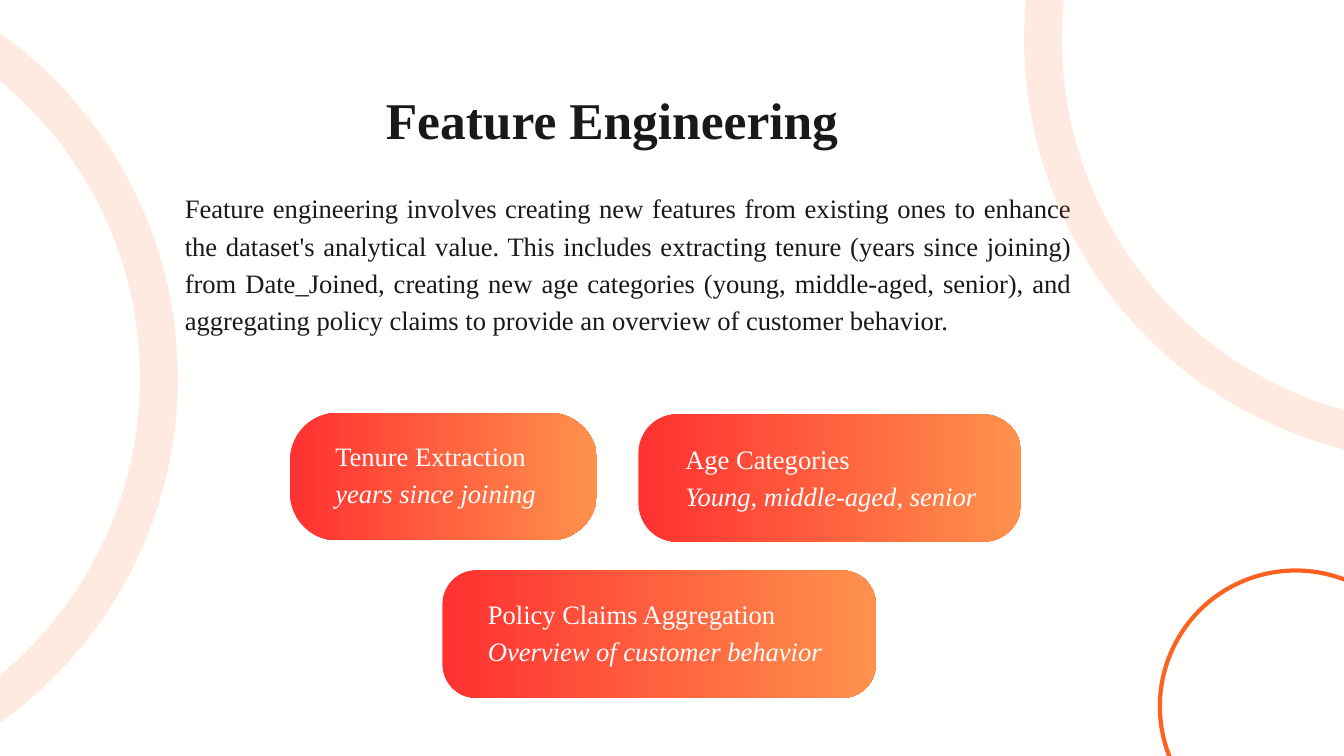
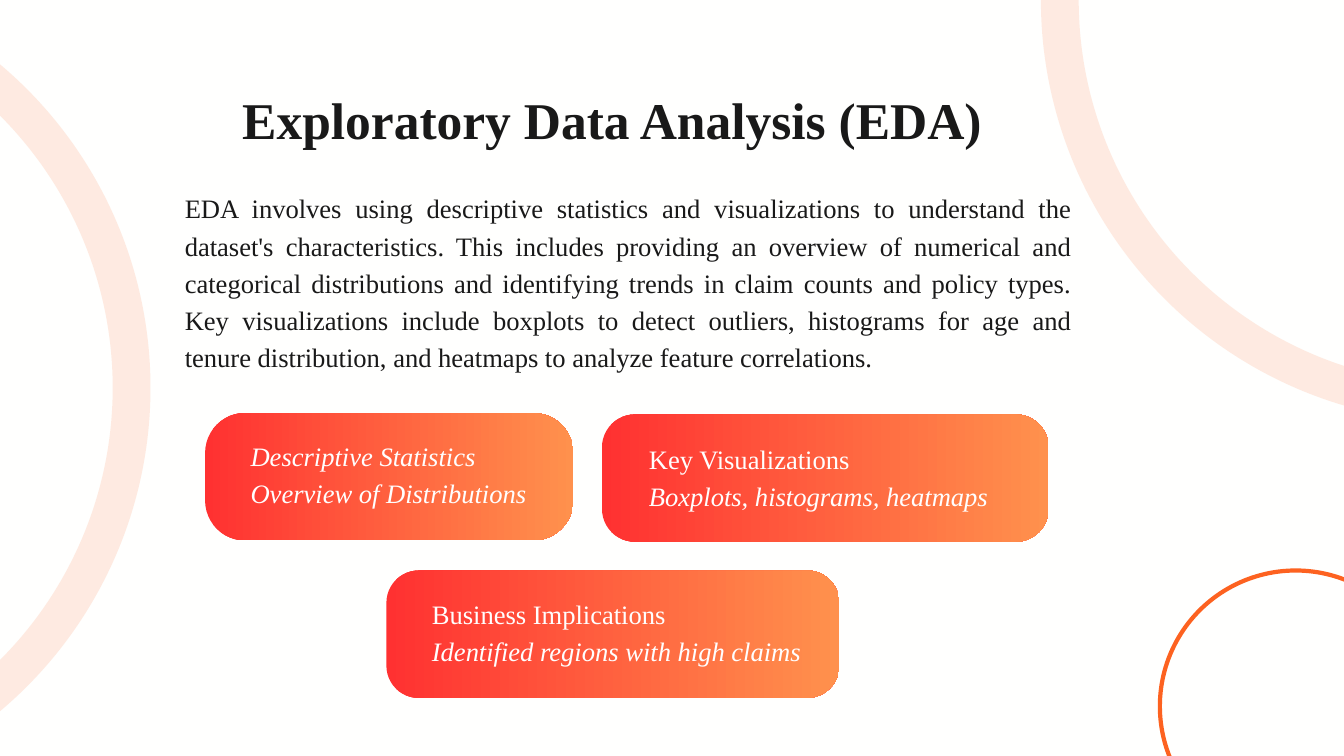
import dataclasses

import pptx
import pptx.dml.color
import pptx.enum.shapes
import pptx.enum.text
import pptx.oxml
import pptx.oxml.ns
import pptx.util
from lxml import etree

SHAPE = pptx.enum.shapes.MSO_SHAPE
ALIGN = pptx.enum.text.PP_ALIGN
PX = 9525  # EMU per px
WIDTH, HEIGHT = 1920, 1080


@dataclasses.dataclass(frozen=True)
class Theme:
    font: str = "Times New Roman"
    page: str = "FFFFFE"
    ink: str = "191919"
    card_text: str = "FFFEFE"
    accent: str = "FD6220"
    gradient: tuple = ("FF3131", "FF914D")
    title_size: float = 55.2
    title_leading: float = 77.3
    text_size: float = 28.5
    text_leading: float = 39.9
    circle_line: float = 4.5
    ring_line: float = 40.5
    ring_opacity: int = 12


def px(*lengths):
    return [pptx.util.Emu(n * PX) for n in lengths]


def rgb(color):
    return pptx.dml.color.RGBColor.from_string(color)


def add_child(parent, tag, **attributes):
    return etree.SubElement(parent, pptx.oxml.ns.qn(tag), **attributes)


class Deck:
    CARD_HEIGHT = 182
    TEXT_HEIGHT = 109
    RING_SIZE = 1154

    def __init__(self, theme):
        self.theme = theme
        self.slide = None
        self.prs = pptx.Presentation()
        self.prs.slide_width, self.prs.slide_height = px(WIDTH, HEIGHT)
        fill = self.prs.slide_master.background.fill
        fill.solid()
        fill.fore_color.rgb = rgb(theme.page)

    def new_slide(self):
        self.slide = self.prs.slides.add_slide(self.prs.slide_layouts[1])

    def frame(self, sp, box):
        """Place a text holder and clear its margins."""
        sp.left, sp.top, sp.width, sp.height = px(*box)
        tf = sp.text_frame
        tf.word_wrap = True
        tf.auto_size = pptx.enum.text.MSO_AUTO_SIZE.SHAPE_TO_FIT_TEXT
        tf.vertical_anchor = pptx.enum.text.MSO_ANCHOR.TOP
        tf.margin_left = tf.margin_top = tf.margin_right = tf.margin_bottom = 0
        return tf

    def line(self, p, text, color, size, leading, align=ALIGN.JUSTIFY, bold=False, italic=False):
        p.alignment = align
        p.line_spacing = pptx.util.Pt(leading)
        p.space_before = p.space_after = pptx.util.Pt(0)
        r = p.add_run()
        r.text = text
        r.font.name = self.theme.font
        r.font.size = pptx.util.Pt(size)
        r.font.color.rgb = rgb(color)
        r.font.bold, r.font.italic = bold, italic

    def title(self, text):
        t = self.theme
        tf = self.frame(self.slide.shapes.title, (329, 111, 1091, 111))
        self.line(tf.paragraphs[0], text, t.ink, t.title_size, t.title_leading,
                  ALIGN.CENTER, bold=True)

    def body(self, text):
        t = self.theme
        tf = self.frame(self.slide.placeholders[1], (264, 267, 1267, 269))
        p = tf.paragraphs[0]
        self.line(p, text, t.ink, t.text_size, t.text_leading)
        # Plain paragraph: no bullet, no hanging indent
        pPr = p._p.get_or_add_pPr()
        pPr.set("marL", "0")
        pPr.set("indent", "0")
        add_child(pPr, "a:buNone")

    def circle(self, left, top, size, weight, opacity=100):
        sp = self.slide.shapes.add_shape(SHAPE.OVAL, *px(left, top, size, size))
        sp.shadow.inherit = False
        sp.fill.background()
        sp.line.color.rgb = rgb(self.theme.accent)
        sp.line.width = pptx.util.Pt(weight)
        if opacity < 100:
            color = sp.element.spPr.xpath("./a:ln//a:srgbClr")[0]
            add_child(color, "a:alpha", val=str(opacity * 1000))

    def ring(self, left, top):
        self.circle(left, top, self.RING_SIZE, self.theme.ring_line, self.theme.ring_opacity)

    def card(self, left, top, width, radius, inset, text_width, lines):
        t = self.theme
        sp = self.slide.shapes.add_shape(
            SHAPE.ROUNDED_RECTANGLE, *px(left, top, width, self.CARD_HEIGHT))
        sp.adjustments[0] = radius / self.CARD_HEIGHT
        sp.shadow.inherit = False
        sp.line.fill.background()
        sp.fill.gradient()
        sp.fill.gradient_angle = 0
        for stop, color in zip(sp.fill.gradient_stops, t.gradient):
            stop.color.rgb = rgb(color)
        # Two-line label inside the card
        box = (left + inset[0], top + inset[1], text_width, self.TEXT_HEIGHT)
        tf = self.frame(self.slide.shapes.add_textbox(*px(*box)), box)
        for i, (text, italic) in enumerate(lines):
            p = tf.add_paragraph() if i else tf.paragraphs[0]
            self.line(p, text, t.card_text, t.text_size, t.text_leading, italic=italic)


# Card slots on every slide: top, label inset
SLOTS = [(590, (65, 31)), (592, (67, 33)), (815, (65, 31))]

# Cards: left, width, corner radius, label width, (text, italic) lines
SLIDES = [
    dict(
        title="Feature Engineering",
        body="Feature engineering involves creating new features from existing ones to "
             "enhance the dataset's analytical value. This includes extracting tenure "
             "(years since joining) from Date_Joined, creating new age categories (young, "
             "middle-aged, senior), and aggregating policy claims to provide an overview "
             "of customer behavior.",
        cards=[
            (414, 439, 68, 396, [("Tenure Extraction", False), ("years since joining", True)]),
            (912, 547, 55, 525, [("Age Categories", False),
                                 ("Young, middle-aged, senior", True)]),
            (632, 619, 48, 599, [("Policy Claims Aggregation", False),
                                 ("Overview of customer behavior", True)]),
        ],
        rings=[(1490, -521), (-927, -37)],
    ),
    dict(
        title="Exploratory Data Analysis (EDA)",
        body="EDA involves using descriptive statistics and visualizations to understand "
             "the dataset's characteristics. This includes providing an overview of "
             "numerical and categorical distributions and identifying trends in claim "
             "counts and policy types. Key visualizations include boxplots to detect "
             "outliers, histograms for age and tenure distribution, and heatmaps to "
             "analyze feature correlations.",
        cards=[
            (293, 526, 57, 420, [("Descriptive Statistics", True),
                                 ("Overview of Distributions", True)]),
            (860, 638, 47, 525, [("Key Visualizations", False),
                                 ("Boxplots, histograms, heatmaps", True)]),
            (552, 647, 46, 599, [("Business Implications", False),
                                 ("Identified regions with high claims", True)]),
        ],
        rings=[(1514, -577), (-966, -23)],
    ),
]


def main():
    theme = Theme()
    deck = Deck(theme)
    for content in SLIDES:
        deck.new_slide()
        deck.title(content["title"])
        deck.body(content["body"])
        # Corner circle, cards, then the pale rings on top
        deck.circle(1657, 815, 388, theme.circle_line)
        for (top, inset), (left, width, radius, text_width, lines) in zip(SLOTS, content["cards"]):
            deck.card(left, top, width, radius, inset, text_width, lines)
        for left, top in content["rings"]:
            deck.ring(left, top)
    deck.prs.save("out.pptx")


if __name__ == "__main__":
    main()
